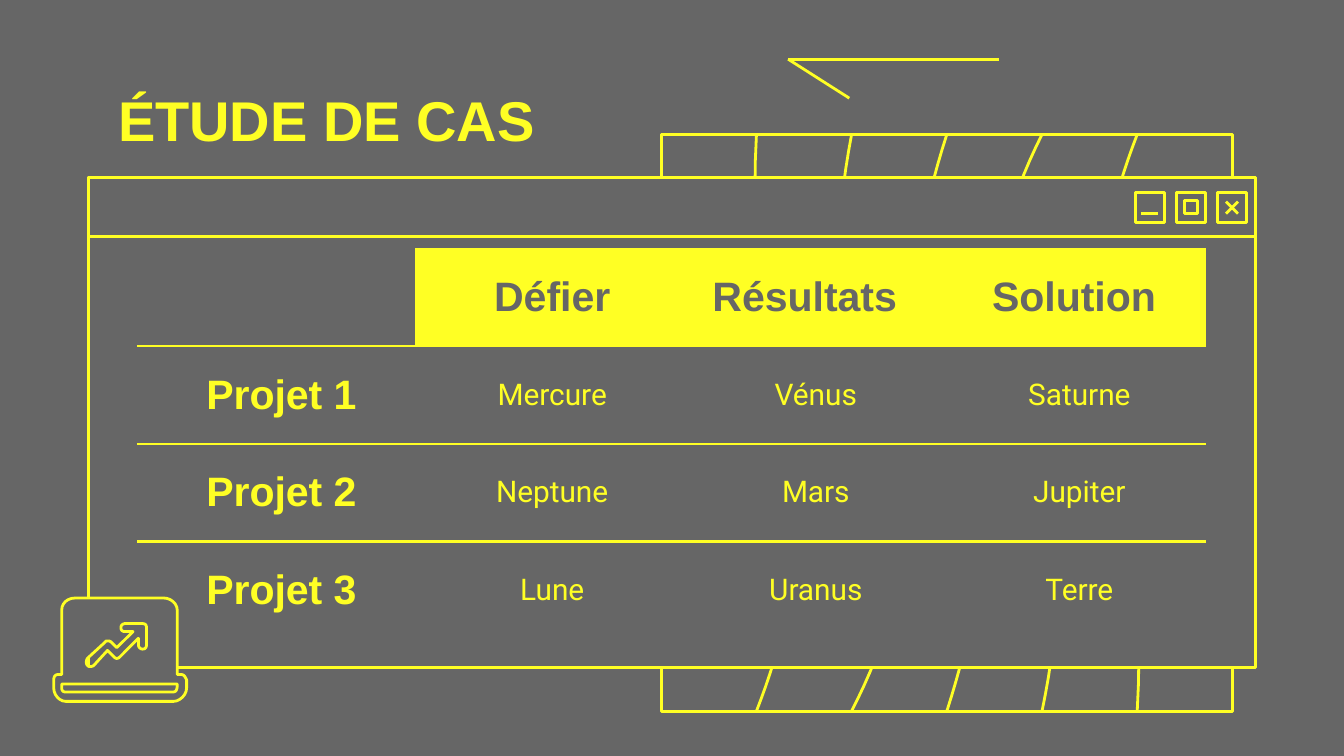
from lxml import etree
from pptx import Presentation
from pptx.dml.color import RGBColor
from pptx.enum.shapes import MSO_CONNECTOR, MSO_SHAPE
from pptx.enum.text import MSO_ANCHOR, PP_ALIGN
from pptx.oxml.ns import qn
from pptx.util import Pt

COLORS = {"ground": "666666", "accent": "FFFF24"}
HEADING, BODY = "Arial", "Roboto"
STROKE = Pt(1.5)
NO_STYLE = "{2D5ABB26-0587-4C30-8999-92F81FD0307C}"
CELL_INDENT = Pt(5.76)

GLOBE = (354.25, 72, 306, 309)
MERIDIANS = [
    [(401.8, 130.3, 410.4, 185, 420.5, 241.9), (424.8, 261.4, 428.4, 280.8, 426.2, 301.7),
     (422.6, 329, 415.4, 355)],
    [(449.3, 108.7, 446.4, 145.4, 452.9, 182.2), (456.5, 201.6, 463, 220.3, 470.2, 239),
     (475.9, 257, 481, 274.3, 481.7, 293), (481.7, 324, 470.2, 353.5)],
    [(496.8, 104.4, 488.9, 139, 492.5, 173.5), (493.9, 192.2, 500.4, 208.8, 507.6, 226.1),
     (515.5, 244.1, 522, 262.1, 523.4, 281.5), (525.6, 315.4, 517.7, 348.5)],
    [(544.3, 100.1, 533.5, 130.3, 534.2, 162), (535, 180, 540, 196.6, 545.8, 213.1),
     (553, 232.6, 559.4, 252, 563, 272.2), (568.8, 308.2, 565.9, 344.9)],
    [(599, 98.5, 591.8, 126, 589, 154), (586.8, 173.5, 590.4, 192.2, 594.7, 211),
     (605.5, 267.8, 612.7, 323.3)],
]

TREND_ARROW = [
    (76.3, 334.1), (77.8, 334.1, 78.5, 334.8, 78.5, 336.2), (78.5, 345.6),
    (78.5, 347, 77.8, 347.8, 76.3, 347.8), (75.6, 347.8, 74.2, 347, 74.2, 345.6),
    (74.2, 342), (64.1, 352.1), (64.1, 352.1, 63.4, 352.8, 62.6, 352.8),
    (61.9, 352.8, 61.2, 352.1, 61.2, 352.1), (57.6, 348.5), (50.4, 356.4),
    (49.7, 357.1, 49, 357.1, 48.2, 357.1), (47.5, 357.1, 47.5, 357.1, 46.8, 356.4),
    (46.1, 355.7, 46.1, 354.2, 46.8, 352.8), (56.2, 344.2),
    (56.9, 343.4, 56.9, 343.4, 57.6, 343.4), (58.3, 343.4, 59, 343.4, 59.8, 344.2),
    (62.6, 347), (71.3, 338.4), (67, 338.4), (65.5, 338.4, 64.8, 337.7, 64.8, 336.2),
    (64.8, 334.8, 66.2, 334.1, 67, 334.1),
]
TRAY = [
    (95, 366.5), (95, 367.9, 95, 370.8, 92.9, 370.8), (35.3, 370.8),
    (33.8, 370.8, 33.1, 370.1, 33.1, 368.6), (33.1, 366.5),
]
CASE = [
    (40.3, 320.4), (36, 320.4, 33.1, 323.3, 33.1, 326.9), (33.1, 361.4), (31, 361.4),
    (29.5, 361.4, 28.8, 362.9, 28.8, 364.3), (28.8, 368.6),
    (28.8, 372.2, 31.7, 375.8, 35.3, 375.8), (92.9, 375.8),
    (96.5, 375.8, 100, 372.2, 100, 368.6), (100, 364.3),
    (99.4, 362.9, 98.6, 361.4, 97.2, 361.4), (95, 361.4), (95, 326.9),
    (95, 323.3, 91.4, 320.4, 87.8, 320.4),
]

HEADERS = ["", "Défier", "Résultats ", "Solution"]
PROJECTS = [
    ["Projet 1", "Mercure", "Vénus", "Saturne"],
    ["Projet 2", "Neptune", "Mars", "Jupiter"],
    ["Projet 3", "Lune", "Uranus", "Terre"],
]


def color(name):
    return RGBColor.from_string(COLORS[name])


def outline(shape, filled):
    shape.shadow.inherit = False
    shape.line.color.rgb = color("accent")
    shape.line.width = STROKE
    if filled:
        shape.fill.solid()
        shape.fill.fore_color.rgb = color("ground")
    else:
        shape.fill.background()


def add_box(slide, left, top, width, height, filled=True):
    box = slide.shapes.add_shape(
        MSO_SHAPE.RECTANGLE, Pt(left), Pt(top), Pt(width), Pt(height))
    outline(box, filled)


def add_stroke(slide, x1, y1, x2, y2):
    stroke = slide.shapes.add_connector(
        MSO_CONNECTOR.STRAIGHT, Pt(x1), Pt(y1), Pt(x2), Pt(y2))
    stroke.line.color.rgb = color("accent")
    stroke.line.width = STROKE
    etree.SubElement(stroke._element.spPr, qn("a:effectLst"))


def bezier(start, first, second, end, t):
    u = 1 - t
    return tuple(u**3 * a + 3 * u * u * t * b + 3 * u * t * t * c + t**3 * d
                 for a, b, c, d in zip(start, first, second, end))


def trace(segments, steps):
    points = [segments[0]]
    for segment in segments[1:]:
        if len(segment) == 2:
            points.append(segment)
        else:
            start = points[-1]
            points += [bezier(start, segment[:2], segment[2:4], segment[4:], i / steps)
                       for i in range(1, steps + 1)]
    return [(Pt(x), Pt(y)) for x, y in points]


def add_outline(slide, contours, steps, closed):
    traced = [trace(contour, steps) for contour in contours]
    builder = slide.shapes.build_freeform(*traced[0][0])
    for index, points in enumerate(traced):
        if index:
            builder.move_to(*points[0])
        builder.add_line_segments(points[1:], close=closed)
    outline(builder.convert_to_shape(), closed)


def add_text(paragraph, text, size, font, bold, tint):
    run = paragraph.add_run()
    run.text = text
    run.font.size = Pt(size)
    run.font.name = font
    run.font.bold = bold
    run.font.color.rgb = color(tint)


def add_globe(slide):
    left, top, width, height = GLOBE
    add_box(slide, *GLOBE, filled=False)
    gap = width / (len(MERIDIANS) + 1)
    for number, bends in enumerate(MERIDIANS, 1):
        x = left + gap * number
        curve = [(x, top), *bends[:-1], bends[-1] + (x, top + height)]
        add_outline(slide, [curve], 12, False)


def add_window(slide):
    left, top, width = 47.4, 95.1, 625
    add_box(slide, left, top, width, 262.7)
    add_box(slide, left, top, width, 31.6)
    minimize, maximize, close = (608.2 + 22 * i for i in range(3))
    for button in (minimize, maximize, close):
        add_box(slide, button, 103, 15.8, 16.4)
    add_stroke(slide, minimize + 3.2, 114.4, minimize + 12, 114.4)
    add_box(slide, maximize + 4.2, 107.5, 7.2, 7)
    add_stroke(slide, close + 4.6, 114.5, close + 11, 108)
    add_stroke(slide, close + 11, 114.5, close + 4.6, 108)


def add_title(slide):
    title = slide.shapes.add_textbox(Pt(56.2), Pt(36.7), Pt(607.7), Pt(45.4))
    frame = title.text_frame
    frame.word_wrap = True
    frame.margin_left = frame.margin_right = frame.margin_bottom = Pt(7.2)
    frame.margin_top = Pt(9)
    add_text(frame.paragraphs[0], "ÉTUDE DE CAS", 30, HEADING, True, "accent")


def add_bottom_border(cell):
    border = etree.Element(qn("a:lnB"), w=str(STROKE))
    fill = etree.SubElement(border, qn("a:solidFill"))
    etree.SubElement(fill, qn("a:srgbClr"), val=COLORS["accent"])
    cell._tc.get_or_add_tcPr().insert(0, border)


def fill_cell(cell, text, row, column):
    header = row == 0
    cell.margin_left = cell.margin_right = cell.margin_top = cell.margin_bottom = Pt(7.2)
    cell.vertical_anchor = MSO_ANCHOR.MIDDLE
    if header and text:
        cell.fill.solid()
        cell.fill.fore_color.rgb = color("accent")
    else:
        cell.fill.background()
    if row < len(PROJECTS):
        add_bottom_border(cell)
    if text:
        paragraph = cell.text_frame.paragraphs[0]
        paragraph.alignment = PP_ALIGN.CENTER
        if not header or column == 1:
            paragraph._p.get_or_add_pPr().set("marL", str(CELL_INDENT))
        strong = header or column == 0
        add_text(paragraph, text, 22 if strong else 16, HEADING if strong else BODY,
                 strong, "ground" if header else "accent")


def add_case_table(slide):
    rows = [HEADERS, *PROJECTS]
    widths = [149, 141.2, 141.2, 141.2]
    row_height = 52.4
    table = slide.shapes.add_table(
        len(rows), len(widths), Pt(73.4), Pt(133), Pt(sum(widths)),
        Pt(row_height * len(rows))).table
    table.first_row = table.horz_banding = False
    table._tbl.tblPr.find(qn("a:tableStyleId")).text = NO_STYLE
    for column, width in zip(table.columns, widths):
        column.width = Pt(width)
    for r, texts in enumerate(rows):
        table.rows[r].height = Pt(row_height)
        for c, text in enumerate(texts):
            fill_cell(table.cell(r, c), text, r, c)


def main():
    deck = Presentation()
    deck.slide_width, deck.slide_height = Pt(720), Pt(405)
    slide = deck.slides.add_slide(deck.slide_layouts[6])
    slide.background.fill.solid()
    slide.background.fill.fore_color.rgb = color("ground")
    add_globe(slide)
    add_window(slide)
    add_stroke(slide, 422.2, 31.7, 535, 31.7)
    add_stroke(slide, 455, 52.6, 422.2, 31.7)
    add_outline(slide, [TREND_ARROW, TRAY, CASE], 6, True)
    add_title(slide)
    add_case_table(slide)
    deck.save("out.pptx")


if __name__ == "__main__":
    main()
